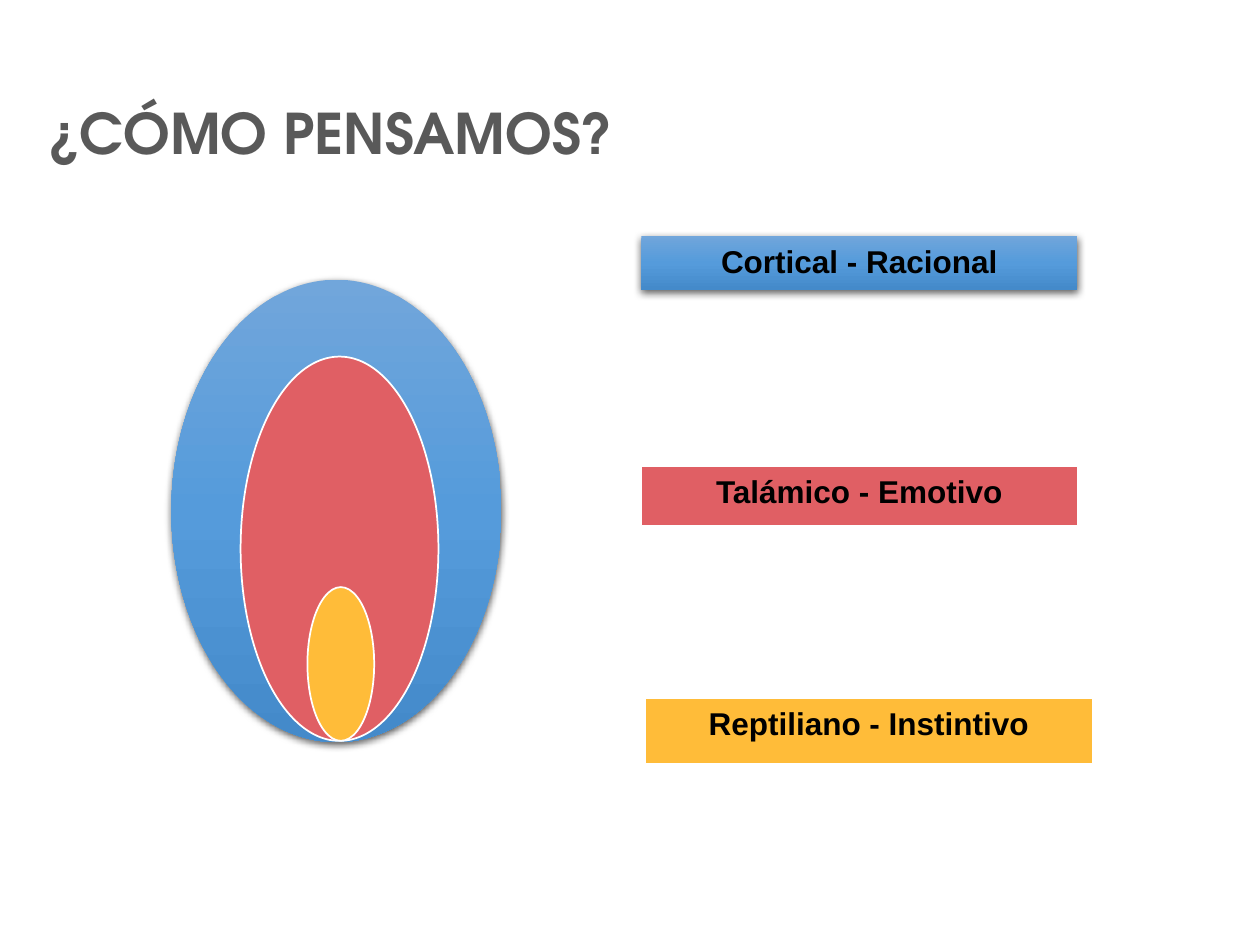
from dataclasses import dataclass

from lxml.etree import SubElement
from pptx import Presentation
from pptx.dml.color import RGBColor
from pptx.enum.shapes import MSO_SHAPE as Shape
from pptx.enum.text import MSO_ANCHOR as Anchor, MSO_AUTO_SIZE as AutoSize, PP_ALIGN as Align
from pptx.oxml.ns import qn
from pptx.util import Inches, Pt


@dataclass(frozen=True)
class Theme:
    blue_stops: tuple = ((0, "71A6DB"), (50, "559BDB"), (100, "448ACA"))
    red: str = "E05F64"
    yellow: str = "FFBC39"
    outline: str = "FFFFFF"
    shadow: str = "000000"
    label_color: str = "000000"
    title_color: str = "595959"
    label_font: str = "Arial"
    title_font: str = "TeX Gyre Adventor"
    label_size: int = 18
    title_size: int = 32
    ellipse_line: float = 1
    label_line: float = 0.75


class SlideBuilder:
    def __init__(self, slide, theme):
        self.slide = slide
        self.theme = theme

    def set_text(self, shape, text, font_name, size, color):
        paragraph = shape.text_frame.paragraphs[0]
        paragraph.text = text
        paragraph.alignment = Align.CENTER
        font = paragraph.font
        font.name, font.size, font.bold = font_name, Pt(size), True
        font.color.rgb = RGBColor.from_string(color)

    def title(self, text, box):
        shape = self.slide.shapes.add_textbox(*map(Inches, box))
        shape.text_frame.word_wrap = False
        shape.text_frame.auto_size = AutoSize.SHAPE_TO_FIT_TEXT
        theme = self.theme
        self.set_text(shape, text, theme.title_font, theme.title_size, theme.title_color)

    def gradient(self, shape):
        shape.fill.gradient()
        shape.fill.gradient_angle = 270
        stops = shape.element.spPr.find(".//" + qn("a:gsLst"))
        for stop in list(stops):
            stops.remove(stop)
        for position, color in self.theme.blue_stops:
            stop = SubElement(stops, qn("a:gs"), pos=str(position * 1000))
            SubElement(stop, qn("a:srgbClr"), val=color)

    def drop_shadow(self, shape):
        effects = shape.element.spPr.find(qn("a:effectLst"))
        shadow = SubElement(effects, qn("a:outerShdw"), blurRad=str(Pt(4.5)),
                            dist=str(Pt(1.5)), dir="5400000", rotWithShape="0")
        color = SubElement(shadow, qn("a:srgbClr"), val=self.theme.shadow)
        SubElement(color, qn("a:alpha"), val="63000")

    def block(self, kind, box, color, line_width):
        shape = self.slide.shapes.add_shape(kind, *map(Inches, box))
        shape.shadow.inherit = False
        if color is None:
            self.gradient(shape)
            shape.line.fill.background()
            self.drop_shadow(shape)
        else:
            shape.fill.solid()
            shape.fill.fore_color.rgb = RGBColor.from_string(color)
            shape.line.color.rgb = RGBColor.from_string(self.theme.outline)
            shape.line.width = Pt(line_width)
        return shape

    def ellipse(self, box, color=None):
        self.block(Shape.OVAL, box, color, self.theme.ellipse_line)

    def label(self, text, box, color=None):
        theme = self.theme
        shape = self.block(Shape.RECTANGLE, box, color, theme.label_line)
        shape.text_frame.vertical_anchor = Anchor.TOP
        self.set_text(shape, text, theme.label_font, theme.label_size, theme.label_color)


def main():
    presentation = Presentation()
    presentation.slide_width, presentation.slide_height = Inches(10), Inches(7.5)
    theme = Theme()
    builder = SlideBuilder(presentation.slides.add_slide(presentation.slide_layouts[6]), theme)

    layers = (
        ("Cortical - Racional", None, (1.36, 2.22, 2.62, 3.67), (5.09, 1.87, 3.46, 0.43)),
        ("Talámico - Emotivo", theme.red, (1.91, 2.83, 1.57, 3.05), (5.09, 3.7, 3.46, 0.47)),
        ("Reptiliano - Instintivo", theme.yellow, (2.44, 4.66, 0.53, 1.22), (5.12, 5.54, 3.55, 0.52)),
    )
    for text, color, ellipse_box, label_box in layers:
        builder.ellipse(ellipse_box, color)
        builder.label(text, label_box, color)
    builder.title("¿CÓMO PENSAMOS?", (0.26, 0.73, 4.73, 0.64))

    presentation.save("out.pptx")


if __name__ == "__main__":
    main()
